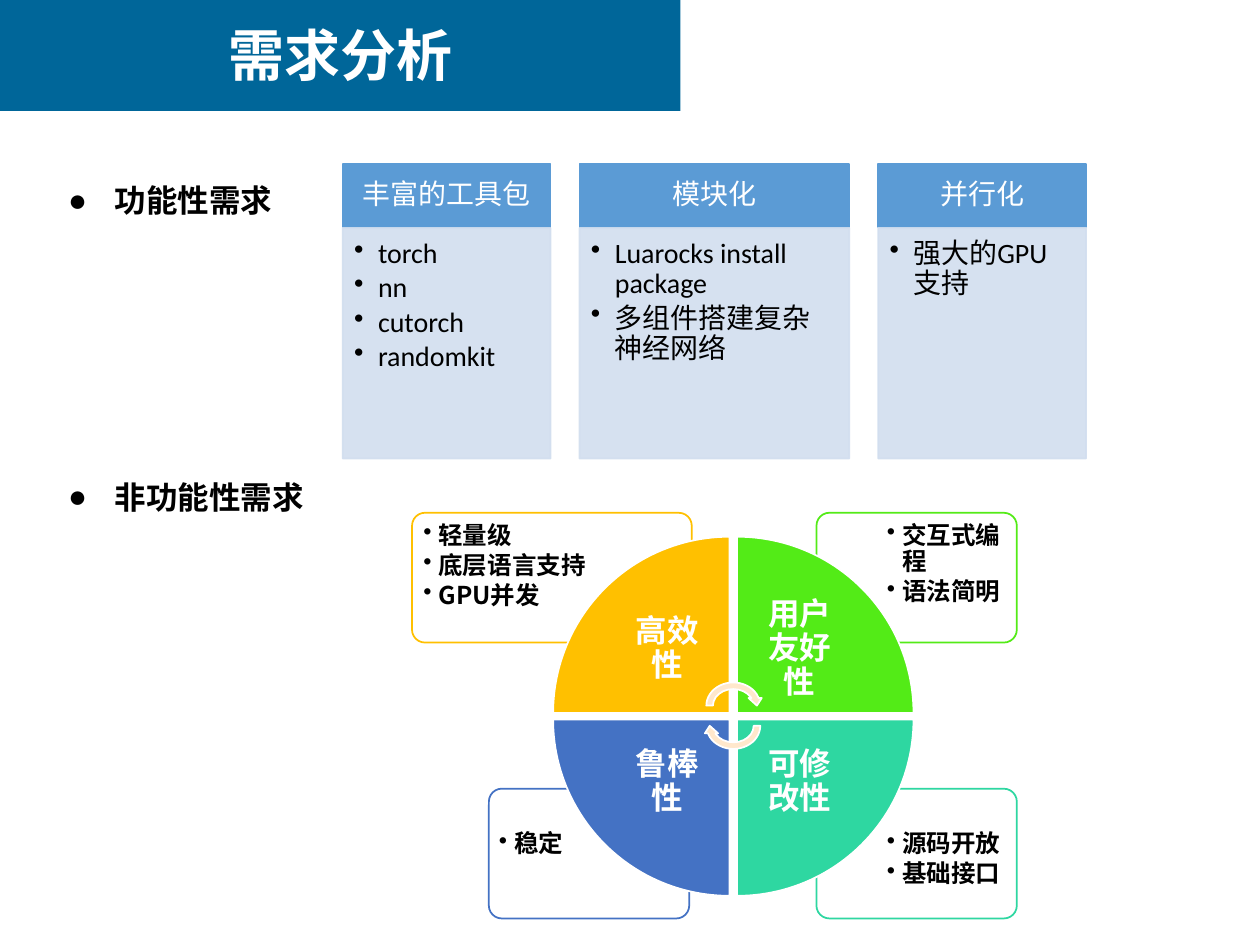
import pptx
import pptx.dml.color
import pptx.enum.shapes
import pptx.enum.text
import pptx.oxml.ns
import pptx.util
from lxml import etree

Inches = pptx.util.Inches
Pt = pptx.util.Pt
SHAPE = pptx.enum.shapes.MSO_SHAPE
ALIGN = pptx.enum.text.PP_ALIGN
ANCHOR = pptx.enum.text.MSO_ANCHOR
qn = pptx.oxml.ns.qn
CJK_FONT = "Noto Sans CJK SC"
COLORS = {
    "band": "006699", "white": "FFFFFF", "black": "000000",
    "header": "5B9BD5", "panel": "D2DEEF", "arrow": "FFE8CC",
    "yellow": "FFC000", "green": "53EB17", "teal": "2ED7A1", "blue": "4472C4",
}


def add_panel(preset, box, fill, line=None, opacity=100):
    """Add a preset shape with a flat fill and an optional 1 pt outline."""
    shape = slide.shapes.add_shape(preset, *map(Inches, box))
    shape.shadow.inherit = False
    shape.fill.solid()
    shape.fill.fore_color.rgb = pptx.dml.color.RGBColor.from_string(COLORS[fill])
    if line:
        shape.line.color.rgb = pptx.dml.color.RGBColor.from_string(COLORS[line])
        shape.line.width = Pt(1)
    else:
        shape.line.fill.background()
    if opacity < 100:
        for color in shape.element.spPr.iter(qn("a:srgbClr")):
            if fill == line or color.getparent().getparent().tag != qn("a:ln"):
                etree.SubElement(color, qn("a:alpha"), val=str(opacity * 1000))
    return shape


def write_text(shape, lines, font, size, color, bold=False, align=ALIGN.LEFT,
               anchor=ANCHOR.TOP, insets=(0.1, 0.05, 0.1, 0.05), spacing=0.9,
               after=0, bullet=None, indent=0):
    """Fill a shape with equally formatted paragraphs, bulleted on request."""
    frame = shape.text_frame
    frame.word_wrap = True
    frame.auto_size = pptx.enum.text.MSO_AUTO_SIZE.NONE
    frame.vertical_anchor = anchor
    (frame.margin_left, frame.margin_top,
     frame.margin_right, frame.margin_bottom) = map(Inches, insets)
    frame.text = "\n".join(lines)
    for paragraph in frame.paragraphs:
        paragraph.alignment = align
        paragraph.line_spacing = spacing
        paragraph.space_before = Pt(0)
        paragraph.space_after = Pt(size * after)
        paragraph.font.name = font
        paragraph.font.size = Pt(size)
        paragraph.font.bold = bold
        paragraph.font.color.rgb = pptx.dml.color.RGBColor.from_string(COLORS[color])
        properties = paragraph.runs[0].font
        properties.name = font
        if font != "Calibri":
            latin = properties._element.find(qn("a:latin"))
            latin.addnext(etree.Element(qn("a:ea"), typeface=CJK_FONT))
        if bullet:
            settings = paragraph._p.get_or_add_pPr()
            settings.set("marL", str(Inches(indent)))
            settings.set("indent", str(-Inches(indent)))
            mark = etree.Element(qn("a:buChar"), char=bullet)
            settings.find(qn("a:defRPr")).addprevious(mark)


presentation = pptx.Presentation()
presentation.slide_width = Inches(10)
presentation.slide_height = Inches(7.5)
slide = presentation.slides.add_slide(presentation.slide_layouts[3])

# Title on its band
band = add_panel(SHAPE.RECTANGLE, (0, -0.01, 5.4, 0.89), "band")
slide.shapes._spTree.insert(2, band.element)
headings = [
    (0, (0, 0.11, 5.4, 0.64), "需求分析"),
    (1, (0.44, 1.24, 5.76, 0.48), "功能性需求"),
    (2, (0.44, 3.59, 2.46, 0.48), "非功能性需求"),
]
for index, box, text in headings:
    placeholder = slide.placeholders[index]
    (placeholder.left, placeholder.top,
     placeholder.width, placeholder.height) = map(Inches, box)
    if index == 0:
        write_text(placeholder, [text], CJK_FONT, 32, "white", bold=True,
                   align=ALIGN.CENTER, spacing=1)
    else:
        write_text(placeholder, [text], "Arial", 18, "black", bold=True,
                   spacing=1.5, bullet="●", indent=0.37)

# Quality cards behind the wheel, then the four wedges:
# card left, card width, text left, text width, row, column, rotation
qualities = [
    ("可修改性", "teal", 6.48, 1.59, 6.98, 1.07, 1, 1, 180, ["源码开放", "基础接口"]),
    ("鲁棒性", "blue", 3.88, 1.59, 3.9, 1.07, 1, 0, 270, ["稳定"]),
    ("用户友好性", "green", 6.48, 1.59, 6.98, 1.07, 0, 1, 90, ["交互式编程", "语法简明"]),
    ("高效性", "yellow", 3.27, 2.22, 3.3, 1.51, 0, 0, 0,
     ["轻量级", "底层语言支持", "GPU并发"]),
]
for name, color, left, width, text_left, text_width, row, column, turn, points in qualities:
    card = add_panel(SHAPE.ROUNDED_RECTANGLE, (left, 4.07 + 2.19 * row, width, 1.03),
                     "white", color, opacity=90)
    card.adjustments[0] = 0.1
    note = slide.shapes.add_textbox(Inches(text_left), Inches(4.09 + 2.45 * row),
                                    Inches(text_width), Inches(0.73))
    write_text(note, points, CJK_FONT, 14, "black", bold=True, insets=(0.06,) * 4,
               after=0.15, bullet="•", indent=0.12)

for name, color, left, width, text_left, text_width, row, column, turn, points in qualities:
    wedge = add_panel(SHAPE.PIE_WEDGE, (4.39 + 1.46 * column, 4.26 + 1.45 * row, 1.4, 1.4),
                      color, "white")
    wedge.rotation = turn
    label = slide.shapes.add_textbox(Inches(4.8 + 1.05 * column), Inches(4.66 + 1.05 * row),
                                     Inches(0.99), Inches(0.99))
    write_text(label, [name], CJK_FONT, 18, "white", bold=True, align=ALIGN.CENTER,
               anchor=ANCHOR.MIDDLE, insets=(0.14,) * 4, after=0.35)

for top, turn in [(5.39, 0), (5.55, 180)]:
    arrow = add_panel(SHAPE.CIRCULAR_ARROW, (5.58, top, 0.48, 0.42), "arrow", "white")
    arrow.rotation = turn

# Feature columns, set side by side with an equal gap
columns = [
    ("丰富的工具包", 1.65, ["torch", "nn", "cutorch", "randomkit"]),
    ("模块化", 2.14, ["Luarocks install package", "多组件搭建复杂神经网络"]),
    ("并行化", 1.65, ["强大的GPU支持"]),
]
left = 2.72
for name, width, points in columns:
    header = add_panel(SHAPE.RECTANGLE, (left, 1.3, width, 0.5), "header", "header")
    write_text(header, [name], "Calibri", 16, "white", align=ALIGN.CENTER,
               anchor=ANCHOR.MIDDLE, insets=(0.12, 0.07, 0.12, 0.07), after=0.35)
    panel = add_panel(SHAPE.RECTANGLE, (left, 1.81, width, 1.83), "panel", "panel",
                      opacity=90)
    write_text(panel, points, "Calibri", 16, "black", insets=(0.09, 0.09, 0.12, 0.14),
               after=0.15, bullet="•", indent=0.19)
    left += width + 0.23

presentation.save("out.pptx")
